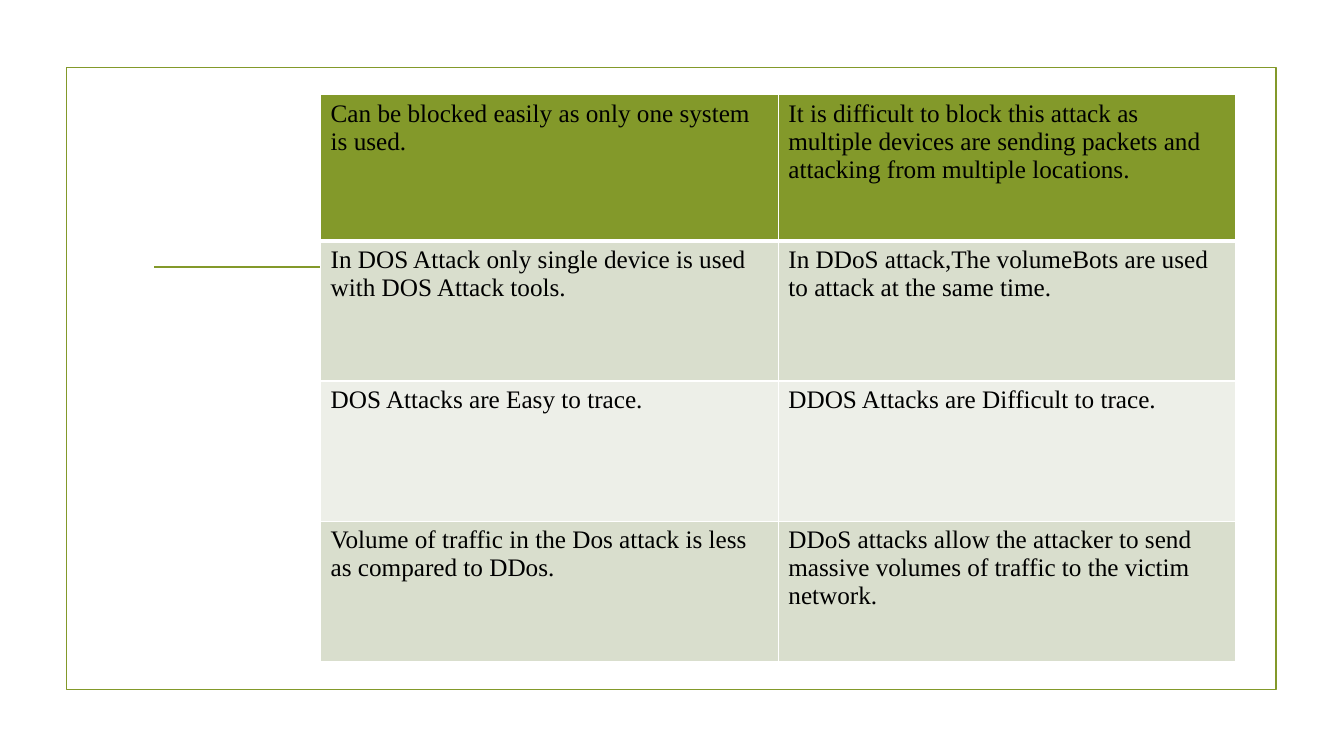
import pptx
import pptx.util
import pptx.dml.color
import pptx.enum.shapes
import pptx.oxml

PX = 9144  # one hundredth of an inch

THEME = {
    "green": "83992A",
    "band": "D9DECD",
    "pale": "EDEFE8",
    "white": "FFFFFF",
    "ink": "000000",
    "font": "Times New Roman",
    "size": 18,
    "line": 1.25,
    "rule": 1,
    "thick": 3,
}
NS = 'xmlns:a="http://schemas.openxmlformats.org/drawingml/2006/main"'

ROWS = [
    ("Can be blocked easily as only one system is used.",
     "It is difficult to block this attack as multiple devices are sending "
     "packets and attacking from multiple locations."),
    ("In DOS Attack only single device is used with DOS Attack tools.",
     "In DDoS attack,The volumeBots are used to attack at the same time."),
    ("DOS Attacks are Easy to trace.",
     "DDOS Attacks are Difficult to trace."),
    ("Volume of traffic in the Dos attack is less as compared to DDos.",
     "DDoS attacks allow the attacker to send massive volumes of traffic "
     "to the victim network."),
]
FILLS = ["green", "band", "pale", "band"]
HIGH = [145, 139, 139, 139]


def color(name):
    return pptx.dml.color.RGBColor.from_string(THEME[name])


def edge(cell, sides):
    """Draw white cell borders; sides maps a side letter to points."""
    props = cell._tc.get_or_add_tcPr()
    for spot, (side, width) in enumerate(sides.items()):
        props.insert(spot, pptx.oxml.parse_xml(
            f'<a:ln{side} {NS} w="{pptx.util.Pt(width)}"><a:solidFill>'
            f'<a:srgbClr val="{THEME["white"]}"/></a:solidFill></a:ln{side}>'))


deck = pptx.Presentation()
deck.slide_width, deck.slide_height = 1333 * PX, 750 * PX
slide = deck.slides.add_slide(deck.slide_layouts[6])
shapes = slide.shapes

# Frame and rule behind the table
frame = shapes.add_shape(pptx.enum.shapes.MSO_SHAPE.RECTANGLE,
                         66 * PX, 67 * PX, 1200 * PX, 617 * PX)
frame.shadow.inherit = False
frame.fill.background()
rule = shapes.add_connector(pptx.enum.shapes.MSO_CONNECTOR.STRAIGHT,
                            153 * PX, 265 * PX, 1181 * PX, 265 * PX)
rule._element.spPr.append(pptx.oxml.parse_xml(f"<a:effectLst {NS}/>"))
for item in (frame, rule):
    item.line.color.rgb = color("green")
    item.line.width = pptx.util.Pt(THEME["line"])

# Comparison table
table = shapes.add_table(len(ROWS), 2, 318 * PX, 94 * PX,
                         908 * PX, sum(HIGH) * PX).table
for col in table.columns:
    col.width = 454 * PX

style = {"name": THEME["font"], "size": pptx.util.Pt(THEME["size"]),
         "bold": False}
for r, texts in enumerate(ROWS):
    table.rows[r].height = HIGH[r] * PX
    top = THEME["thick"] if r == 1 else THEME["rule"]
    base = THEME["thick"] if r == 0 else THEME["rule"]
    for c, text in enumerate(texts):
        cell = table.cell(r, c)
        cell.fill.solid()
        cell.fill.fore_color.rgb = color(FILLS[r])
        edge(cell, {"L": THEME["rule"], "R": THEME["rule"],
                    "T": top, "B": base})
        run = cell.text_frame.paragraphs[0].add_run()
        run.text = text
        for key, value in style.items():
            setattr(run.font, key, value)
        run.font.color.rgb = color("ink")

deck.save("out.pptx")
